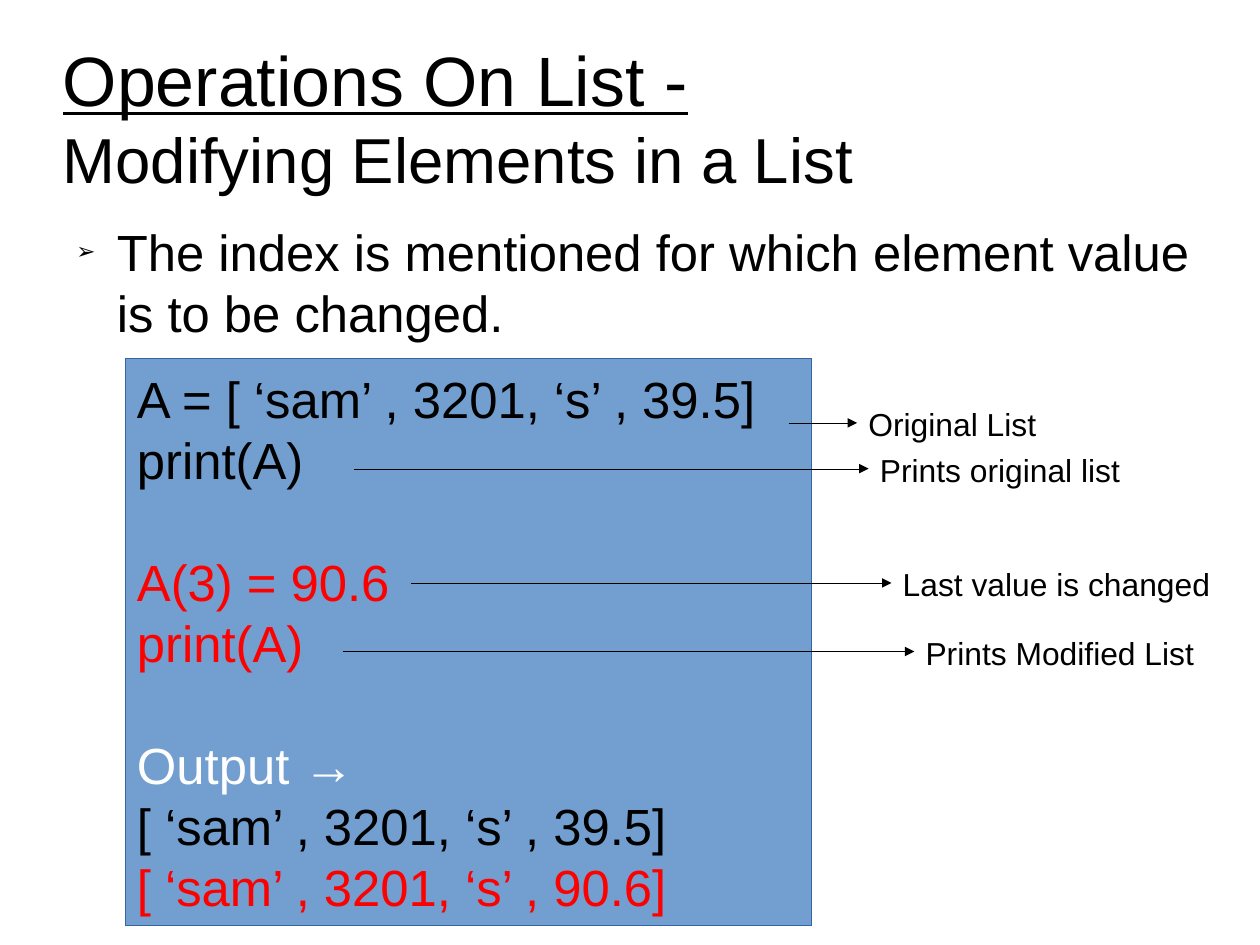
from lxml.etree import SubElement
from pptx import Presentation
from pptx.dml.color import RGBColor
from pptx.enum.shapes import MSO_CONNECTOR, MSO_SHAPE
from pptx.enum.text import MSO_ANCHOR, MSO_AUTO_SIZE, PP_ALIGN
from pptx.oxml.ns import qn
from pptx.util import Pt

BLACK, RED, WHITE = "000000", "FF0000", "FFFFFF"
CODE_SIZE = 32
BLANK_LINE = 38.4
NOTE_HEIGHT = 30

# text, colour, space before
CODE_LINES = [
    ("A = [ ‘sam’ , 3201, ‘s’ , 39.5]", BLACK, 0),
    ("print(A)", BLACK, 0),
    ("A(3) = 90.6", RED, BLANK_LINE),
    ("print(A)", RED, 0),
    ("Output →", WHITE, BLANK_LINE),
    ("[ ‘sam’ , 3201, ‘s’ , 39.5]", BLACK, 0),
    ("[ ‘sam’ , 3201, ‘s’ , 90.6]", RED, 0),
]

# text, arrow start, note left, arrow height on the slide, note width
NOTES = [
    ("Original List", 496.8, 540, 266.4, 208.8),
    ("Prints original list", 223.2, 547.2, 295.2, 216),
    ("Prints Modified List", 216, 576, 410.4, 201.6),
    ("Last value is changed", 259.2, 561.6, 367.2, 216),
]


def rgb(hex_colour):
    return RGBColor.from_string(hex_colour)


def apply(target, formats):
    for name, value in formats.items():
        setattr(target, name, value)


def place(shape, left, top, width, height):
    apply(shape, {"left": Pt(left), "top": Pt(top),
                  "width": Pt(width), "height": Pt(height)})


def set_frame(frame, side, end, anchor, wrap=True):
    """Set insets (left/right, top/bottom), anchor and wrapping."""
    apply(frame, {"margin_left": Pt(side), "margin_right": Pt(side),
                  "margin_top": Pt(end), "margin_bottom": Pt(end),
                  "vertical_anchor": anchor, "word_wrap": wrap,
                  "auto_size": MSO_AUTO_SIZE.NONE})


def set_hairline(line, colour):
    """Colour a line and write its zero width, which line.width would omit."""
    line.color.rgb = rgb(colour)
    outline = line._get_or_add_ln()
    outline.set("w", "0")
    return outline


def add_text(paragraph, text, size, colour=BLACK, underline=False):
    run = paragraph.add_run()
    run.text = text
    apply(run.font, {"name": "Arial", "size": Pt(size), "underline": underline})
    run.font.color.rgb = rgb(colour)


def fill_title(title):
    place(title, 39.6, 23.5, 714.2, 99.4)
    set_frame(title.text_frame, 0, 0, MSO_ANCHOR.MIDDLE)
    heading = title.text_frame.paragraphs[0]
    heading.alignment = PP_ALIGN.LEFT
    add_text(heading, "Operations On List -", 44, underline=True)
    heading.add_line_break()
    add_text(heading, "Modifying Elements in a List", 40)


def set_bullet(paragraph, symbol, percent, indent, hanging):
    props = paragraph._p.get_or_add_pPr()
    props.set("marL", str(Pt(indent)))
    props.set("indent", str(-Pt(hanging)))
    colour = SubElement(props, qn("a:buClr"))
    SubElement(colour, qn("a:srgbClr"), val=BLACK)
    SubElement(props, qn("a:buSzPct"), val=str(percent * 1000))
    SubElement(props, qn("a:buChar"), char=symbol)


def fill_body(body):
    place(body, 39.6, 139, 714.2, 344.9)
    set_frame(body.text_frame, 0, 0, MSO_ANCHOR.TOP)
    point = body.text_frame.paragraphs[0]
    point.space_before = Pt(14.2)
    set_bullet(point, "➢", 45, 34, 25.5)
    add_text(point, "The index is mentioned for which element value "
                    "is to be changed.", 32)


def add_code_panel(slide):
    panel = slide.shapes.add_shape(MSO_SHAPE.RECTANGLE, Pt(79.2), Pt(225.8),
                                   Pt(432), Pt(357.1))
    panel.shadow.inherit = False
    panel.fill.solid()
    panel.fill.fore_color.rgb = rgb("729FCF")
    set_hairline(panel.line, "3465A4")
    frame = panel.text_frame
    set_frame(frame, 7.2, 3.6, MSO_ANCHOR.MIDDLE, wrap=False)
    for number, (text, colour, gap) in enumerate(CODE_LINES):
        line = frame.add_paragraph() if number else frame.paragraphs[0]
        apply(line, {"alignment": PP_ALIGN.LEFT, "space_before": Pt(gap)})
        add_text(line, text, CODE_SIZE, colour)


def add_note(slide, text, start, left, y, width):
    """Add a side note with an arrow leading to its left edge."""
    arrow = slide.shapes.add_connector(MSO_CONNECTOR.STRAIGHT, Pt(start),
                                       Pt(y), Pt(left), Pt(y))
    outline = set_hairline(arrow.line, BLACK)
    SubElement(outline, qn("a:tailEnd"), type="triangle")
    SubElement(arrow._element.spPr, qn("a:effectLst"))

    note = slide.shapes.add_textbox(Pt(left), Pt(y - NOTE_HEIGHT / 2),
                                    Pt(width), Pt(NOTE_HEIGHT))
    set_frame(note.text_frame, 7.2, 3.6, MSO_ANCHOR.TOP)
    add_text(note.text_frame.paragraphs[0], text, 20)
    arrow.end_connect(note, 1)


def main():
    deck = Presentation()
    apply(deck, {"slide_width": Pt(793.75), "slide_height": Pt(595.25)})
    slide = deck.slides.add_slide(deck.slide_layouts[1])
    fill_title(slide.shapes.title)
    fill_body(slide.placeholders[1])
    add_code_panel(slide)
    for note in NOTES:
        add_note(slide, *note)
    deck.save("out.pptx")


if __name__ == "__main__":
    main()
